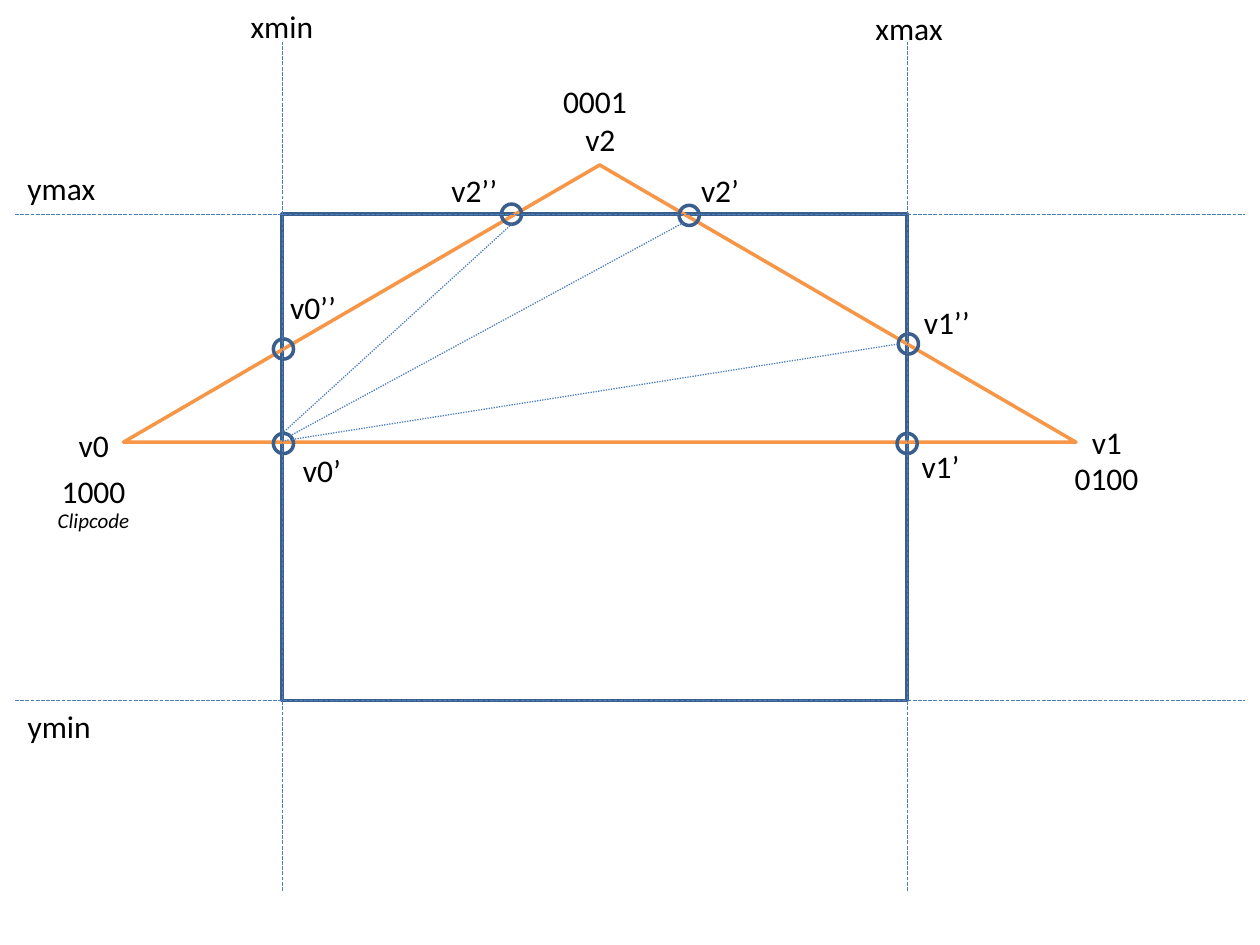
"""Build a slide showing a triangle clipped against a rectangular window."""
import dataclasses

import pptx
import pptx.dml.color
import pptx.enum.dml
import pptx.enum.shapes
import pptx.enum.text
import pptx.oxml
import pptx.oxml.ns
import pptx.util

Inches = pptx.util.Inches
Pt = pptx.util.Pt
Shape = pptx.enum.shapes.MSO_SHAPE
Dash = pptx.enum.dml.MSO_LINE
Align = pptx.enum.text.PP_ALIGN

COLORS = {"window": "3A5F8C", "triangle": "F79646", "guide": "4B7EBC", "text": "000000"}
XMIN, XMAX, YMIN, YMAX = 2.24, 7.2, 5.56, 1.7
MARKER_SIZE = 0.16
LABEL_HEIGHT = 0.4


@dataclasses.dataclass(frozen=True)
class Outline:
    kind: Shape
    left: float
    top: float
    width: float
    height: float
    color: str = "window"


@dataclasses.dataclass(frozen=True)
class Label:
    text: str
    left: float
    top: float
    width: float
    height: float = LABEL_HEIGHT
    align: Align = Align.LEFT
    wrap: bool = False
    size: int = 18
    italic: bool = False


@dataclasses.dataclass(frozen=True)
class Guide:
    start: tuple[float, float]
    end: tuple[float, float]
    dash: Dash


def vertex(text: str, left: float, top: float, width: float = 0.63) -> Label:
    return Label(text, left, top, width, align=Align.CENTER, wrap=True)


def marker(left: float, top: float) -> Outline:
    return Outline(Shape.OVAL, left, top, MARKER_SIZE, MARKER_SIZE)


OUTLINES = [
    Outline(Shape.RECTANGLE, XMIN, YMAX, XMAX - XMIN, YMIN - YMAX),
    Outline(Shape.ISOSCELES_TRIANGLE, 0.98, 1.31, 7.56, 2.2, "triangle"),
    marker(3.98, 1.62),
    marker(5.39, 1.63),
    marker(7.13, 2.65),
    marker(7.12, 3.44),
    marker(2.17, 3.44),
    marker(2.17, 2.69),
]
VERTEX_LABELS = [
    vertex("v2", 4.53, 0.9, 0.47),
    vertex("v1", 8.55, 3.31, 0.47),
    vertex("v0", 0.51, 3.33, 0.47),
    vertex("v0’", 2.24, 3.53),
    vertex("v0’’", 2.17, 2.24),
    vertex("v1’", 7.15, 3.5),
    vertex("v1’’", 7.2, 2.36),
    vertex("v2’", 5.4, 1.31),
    vertex("v2’’", 3.45, 1.31),
]
BOUNDARIES = [
    *(Guide((0.12, y), (9.88, y), Dash.SQUARE_DOT) for y in (YMAX, YMIN)),
    *(Guide((x, 7.07), (x, 0.33), Dash.SQUARE_DOT) for x in (XMIN, XMAX)),
]
BOUNDARY_LABELS = [
    Label("xmin", 1.89, 0.01, 0.7),
    Label("xmax", 6.85, 0.02, 0.74),
    Label("ymax", 0.12, 1.29, 0.74),
    Label("ymin", 0.12, YMIN, 0.71),
]
CODE_LABELS = [
    Label("1000", 0.39, 3.7, 0.71),
    Label("0001", 4.37, 0.6, 0.71),
    Label("0100", 8.43, 3.59, 0.71),
]
DIAGONALS = [
    Guide((2.24, 3.5), (7.13, 2.73), Dash.ROUND_DOT),
    Guide((2.3, 3.46), (5.42, 1.77), Dash.ROUND_DOT),
    Guide((2.24, 3.44), (4.06, 1.78), Dash.ROUND_DOT),
]
CAPTION = Label("Clipcode", 0.36, 3.98, 0.77, 0.3, size=12, italic=True)


def apply_format(target: object, values: dict[str, object]) -> None:
    for name, value in values.items():
        setattr(target, name, value)


def rgb(name: str) -> pptx.dml.color.RGBColor:
    return pptx.dml.color.RGBColor.from_string(COLORS[name])


def draw_outline(slide: pptx.slide.Slide, outline: Outline) -> None:
    box = map(Inches, (outline.left, outline.top, outline.width, outline.height))
    shape = slide.shapes.add_shape(outline.kind, *box)
    shape.shadow.inherit = False
    shape.fill.background()
    shape.line.color.rgb = rgb(outline.color)
    shape.line.width = Pt(2)


def draw_guide(slide: pptx.slide.Slide, guide: Guide) -> None:
    ends = map(Inches, (*guide.start, *guide.end))
    connector = slide.shapes.add_connector(pptx.enum.shapes.MSO_CONNECTOR.STRAIGHT, *ends)
    connector.line.color.rgb = rgb("guide")
    apply_format(connector.line, {"width": Pt(0.75), "dash_style": guide.dash})
    properties = connector._element.spPr
    properties.append(pptx.oxml.parse_xml(f"<a:effectLst {pptx.oxml.ns.nsdecls('a')}/>"))


def draw_label(slide: pptx.slide.Slide, label: Label) -> None:
    box = map(Inches, (label.left, label.top, label.width, label.height))
    frame = slide.shapes.add_textbox(*box).text_frame
    apply_format(frame, {
        "word_wrap": label.wrap,
        "auto_size": pptx.enum.text.MSO_AUTO_SIZE.SHAPE_TO_FIT_TEXT,
    })
    paragraph = frame.paragraphs[0]
    paragraph.alignment = label.align
    run = paragraph.add_run()
    run.text = label.text
    apply_format(run.font, {"name": "Calibri", "size": Pt(label.size), "italic": label.italic})
    run.font.color.rgb = rgb("text")


def main() -> None:
    presentation = pptx.Presentation()
    apply_format(presentation, {"slide_width": Inches(10), "slide_height": Inches(7.5)})
    slide = presentation.slides.add_slide(presentation.slide_layouts[6])
    for outline in OUTLINES:
        draw_outline(slide, outline)
    for label in VERTEX_LABELS:
        draw_label(slide, label)
    for guide in BOUNDARIES:
        draw_guide(slide, guide)
    for label in BOUNDARY_LABELS + CODE_LABELS:
        draw_label(slide, label)
    for guide in DIAGONALS:
        draw_guide(slide, guide)
    draw_label(slide, CAPTION)
    presentation.save("out.pptx")


if __name__ == "__main__":
    main()
